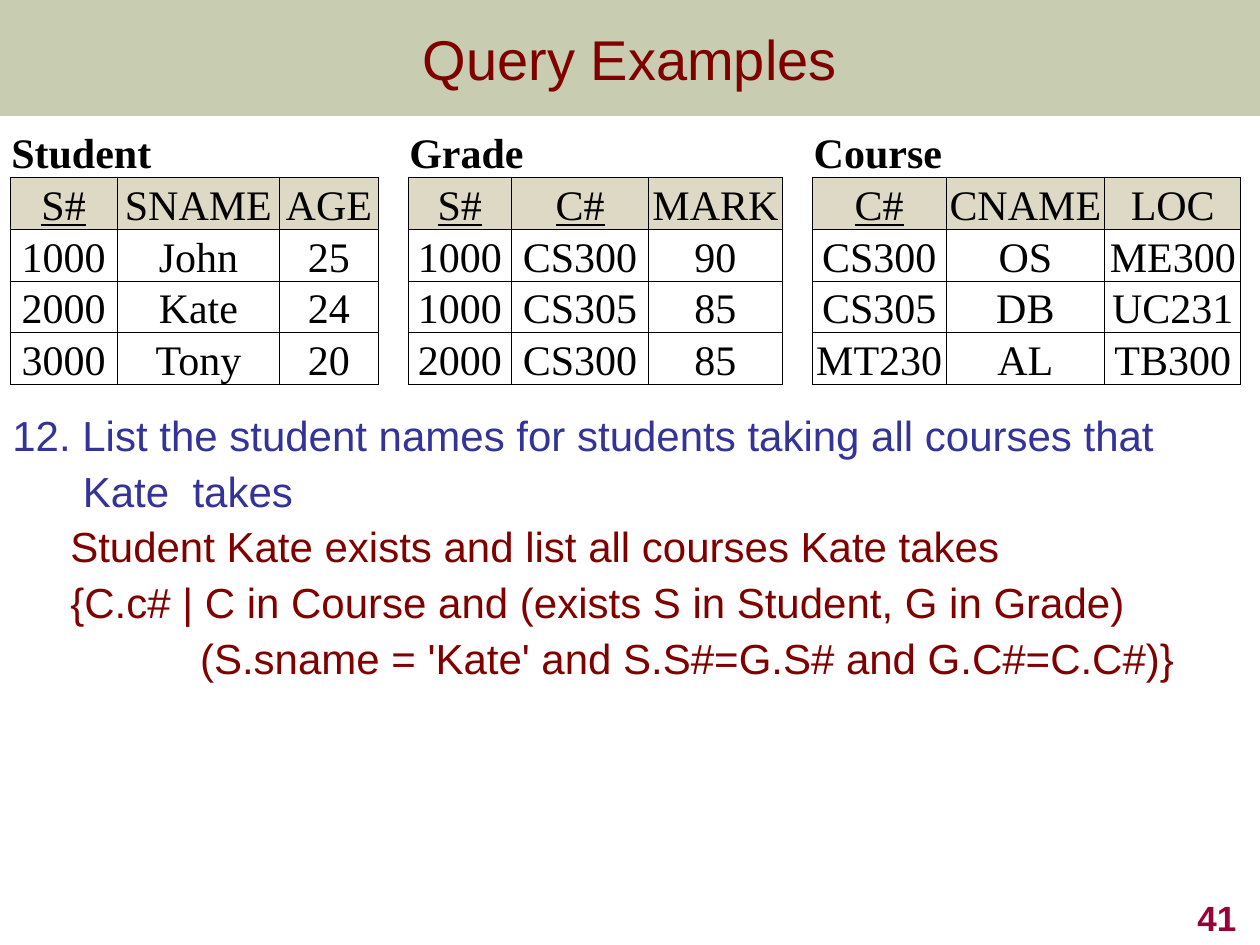
from lxml.etree import SubElement
from pptx import Presentation
from pptx.dml.color import RGBColor
from pptx.enum.shapes import MSO_SHAPE
from pptx.enum.text import MSO_ANCHOR as Anchor, PP_ALIGN as Align
from pptx.oxml.ns import qn
from pptx.util import Inches, Pt

COLORS = {
    "band": "677228", "title": "800000", "question": "333399", "number": "990033",
    "header": "DDD9C4", "white": "FFFFFF", "black": "000000",
}
RELATIONS = [
    ("Student", [0.85, 1.29, 0.78], {"S#"}, [
        ["S#", "SNAME", "AGE"], ["1000", "John", "25"],
        ["2000", "Kate", "24"], ["3000", "Tony", "20"]]),
    ("Grade", [0.82, 1.09, 1.06], {"S#", "C#"}, [
        ["S#", "C#", "MARK"], ["1000", "CS300", "90"],
        ["1000", "CS305", "85"], ["2000", "CS300", "85"]]),
    ("Course", [1.06, 1.26, 1.08], {"C#"}, [
        ["C#", "CNAME", "LOC"], ["CS300", "OS", "ME300"],
        ["CS305", "DB", "UC231"], ["MT230", "AL", "TB300"]]),
]
GAPS = [0.2, 0.24]
ROW_HEIGHT = 0.38
QUERY_LINES = [
    ("12. List the student names for students taking all courses that", 0, "question"),
    ("Kate  takes", 0.56, "question"),
    ("Student Kate exists and list all courses Kate takes", 0.46, "title"),
    ("{C.c# | C in Course and (exists S in Student, G in Grade)", 0.46, "title"),
    ("(S.sname = 'Kate' and S.S#=G.S# and G.C#=C.C#)}", 1.49, "title"),
]


def set_values(target, values):
    for name, value in values.items():
        setattr(target, name, value)


def rgb(color):
    return RGBColor.from_string(COLORS[color])


def write(paragraph, text, color, align=Align.LEFT, **font):
    paragraph.alignment = align
    run = paragraph.add_run()
    run.text = text
    set_values(run.font, {"name": "Arial", "size": Pt(24), **font})
    run.font.color.rgb = rgb(color)


def add_text_frame(slide, box, **frame_values):
    frame = slide.shapes.add_textbox(*map(Inches, box)).text_frame
    set_values(frame, {"word_wrap": True, **frame_values})
    return frame


def add_title(slide, box):
    band = slide.shapes.add_shape(MSO_SHAPE.RECTANGLE, *map(Inches, box))
    band.shadow.inherit = False
    band.line.fill.background()
    band.fill.solid()
    band.fill.fore_color.rgb = rgb("band")
    fill_color = band.fill._xPr.find(qn("a:solidFill"))[0]
    SubElement(fill_color, qn("a:alpha"), val="36000")
    frame = add_text_frame(slide, box, vertical_anchor=Anchor.MIDDLE)
    write(frame.paragraphs[0], "Query Examples", "title", Align.CENTER, size=Pt(32))


def add_query(slide, box):
    frame = add_text_frame(slide, box, margin_right=0)
    for index, (text, indent, color) in enumerate(QUERY_LINES):
        paragraph = frame.add_paragraph() if index else frame.paragraphs[0]
        set_values(paragraph, {"line_spacing": 0.9, "space_before": Pt(5.8)})
        paragraph._p.get_or_add_pPr().set("marL", str(Inches(indent)))
        write(paragraph, text, color)


def add_page_number(slide, box):
    frame = add_text_frame(slide, box, vertical_anchor=Anchor.BOTTOM)
    write(frame.paragraphs[0], "41", "number", Align.RIGHT, size=Pt(20), bold=True)


def style_cell(cell, sides, fill):
    properties = cell._tc.get_or_add_tcPr()
    for side in "LRTB":
        line = SubElement(properties, qn(f"a:ln{side}"), w=str(Pt(0.5)))
        if side in sides:
            solid = SubElement(line, qn("a:solidFill"))
            SubElement(solid, qn("a:srgbClr"), val=COLORS["black"])
        else:
            SubElement(line, qn("a:noFill"))
    cell.fill.solid()
    cell.fill.fore_color.rgb = rgb(fill)


def fill_cell(cell, text, align=Align.CENTER, **font):
    edge = Inches(0.01)
    set_values(cell, {"margin_left": edge, "margin_right": edge, "margin_top": edge,
                      "margin_bottom": 0, "vertical_anchor": Anchor.BOTTOM})
    write(cell.text_frame.paragraphs[0], text, "black", align,
          name="Times New Roman", **font)


def add_relation(table, first, name, keys, rows):
    for column in range(first, first + 3):
        style_cell(table.cell(0, column), "B", "white")
    table.cell(0, first).merge(table.cell(0, first + 2))
    fill_cell(table.cell(0, first), name, Align.LEFT, bold=True)
    for row, values in enumerate(rows, 1):
        for column, value in enumerate(values, first):
            cell = table.cell(row, column)
            style_cell(cell, "LRTB", "header" if row == 1 else "white")
            fill_cell(cell, value, bold=False, underline=value in keys)


def add_relations(slide, box):
    widths = []
    for index, (_, columns, _, _) in enumerate(RELATIONS):
        widths += columns + GAPS[index:index + 1]
    table = slide.shapes.add_table(5, len(widths), *map(Inches, box)).table
    set_values(table, {"first_row": False, "horz_banding": False})
    for column, width in zip(table.columns, widths):
        column.width = Inches(width)
    for row in table.rows:
        row.height = Inches(ROW_HEIGHT)
    for index, (name, _, keys, rows) in enumerate(RELATIONS):
        add_relation(table, index * 4, name, keys, rows)
    for column in range(3, len(widths), 4):
        for row in range(5):
            style_cell(table.cell(row, column), "LR" if row else "", "white")


def main():
    presentation = Presentation()
    set_values(presentation, {"slide_width": Inches(10), "slide_height": Inches(7.5)})
    slide = presentation.slides.add_slide(presentation.slide_layouts[6])
    add_title(slide, (0, 0, 10, 0.92))
    add_query(slide, (0, 3.25, 9.5, 3.33))
    add_page_number(slide, (7.83, 7, 2.08, 0.5))
    add_relations(slide, (0.08, 1, 9.73, 5 * ROW_HEIGHT))
    presentation.save("out.pptx")


if __name__ == "__main__":
    main()
